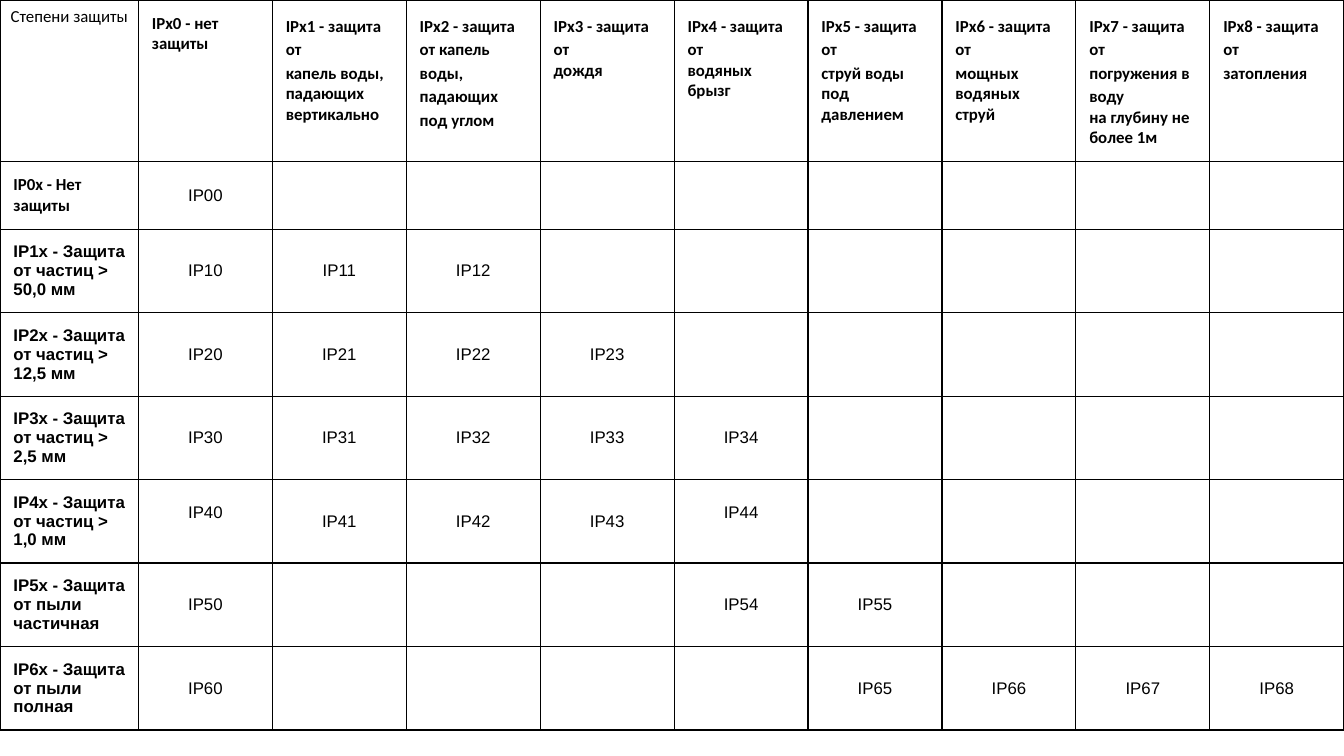
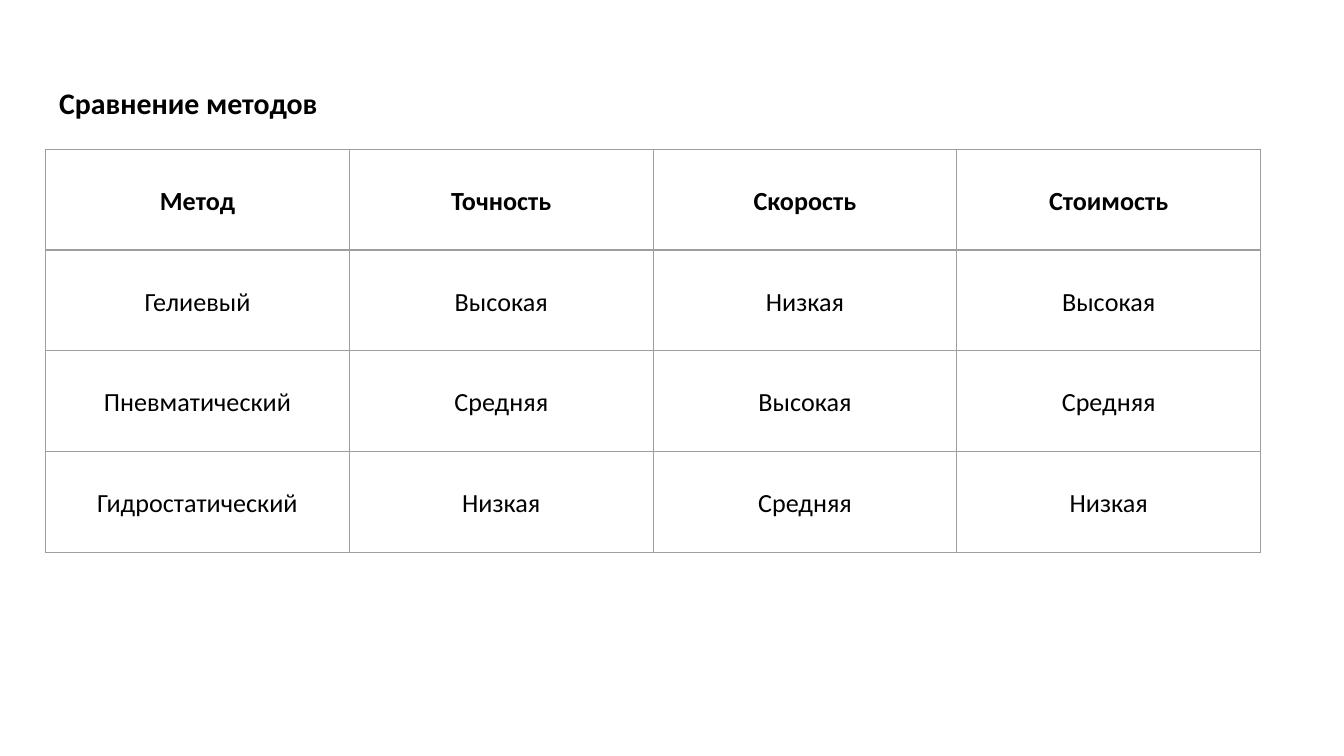
import dataclasses
from typing import Any, NamedTuple

import lxml.etree
import pptx
import pptx.dml.color
import pptx.enum.text
import pptx.oxml.ns
import pptx.util

Inches = pptx.util.Inches
Pt = pptx.util.Pt
ALIGN = pptx.enum.text.PP_ALIGN
ANCHOR = pptx.enum.text.MSO_ANCHOR

# Slide size, 16:9
WIDTH = 10
HEIGHT = WIDTH * 9 / 16

# Shared colours
INK = "000000"
GREY = "9E9E9E"


class Line(NamedTuple):
    text: str
    gap: float = 1.0


@dataclasses.dataclass(frozen=True)
class Style:
    size: float
    face: str = "Calibri"
    bold: bool = False
    align: Any = ALIGN.LEFT
    anchor: Any = ANCHOR.TOP
    pad: tuple[float, float, float, float] = (0.1, 0.1, 0.1, 0.1)


class Entry(NamedTuple):
    lines: list[Line]
    style: Style


class Grid(NamedTuple):
    left: float
    top: float
    cols: list[float]
    rows: list[float]
    edge: str
    cells: list[list[Entry | None]]


# Text styles
TITLE = Style(16, bold=True)
HEAD = Style(9, bold=True)
LABEL = dataclasses.replace(HEAD, face="Arial")
CODE = Style(9, "Arial", align=ALIGN.CENTER, anchor=ANCHOR.MIDDLE)
RAISED = dataclasses.replace(CODE, pad=(0.06, 0.03, 0.06, 0.18))
CORNER = Style(9, align=ALIGN.CENTER, pad=(0.06, 0.03, 0.06, 0.03))
BODY = Style(14, align=ALIGN.CENTER)
TOP = dataclasses.replace(BODY, bold=True)

# Water protection: loosely spaced lines, then tightly spaced ones
WATER = [
    ([], ["IPx0 - нет защиты"]),
    (["IPx1 - защита от", "капель воды,"], ["падающих вертикально"]),
    (["IPx2 - защита от капель воды, падающих под углом"], []),
    (["IPx3 - защита от"], ["дождя"]),
    (["IPx4 - защита от"], ["водяных брызг"]),
    (["IPx5 - защита от", "струй воды"], ["под давлением"]),
    (["IPx6 - защита от", "мощных"], ["водяных струй"]),
    (["IPx7 - защита от", "погружения в воду"], ["на глубину не более 1м"]),
    (["IPx8 - защита от", "затопления"], []),
]

# Dust protection: label and the water digits it is combined with
DUST = [
    ("Нет защиты", "0"),
    ("Защита от частиц > 50,0 мм", "012"),
    ("Защита от частиц > 12,5 мм", "0123"),
    ("Защита от частиц > 2,5 мм", "01234"),
    ("Защита от частиц > 1,0 мм", "01234"),
    ("Защита от пыли частичная", "045"),
    ("Защита от пыли полная", "05678"),
]
LIFTED = ("IP40", "IP44")

METHODS = [
    ["Метод", "Точность", "Скорость", "Стоимость"],
    ["Гелиевый", "Высокая", "Низкая", "Высокая"],
    ["Пневматический", "Средняя", "Высокая", "Средняя"],
    ["Гидростатический", "Низкая", "Средняя", "Низкая"],
]


def color(code: str) -> pptx.dml.color.RGBColor:
    return pptx.dml.color.RGBColor.from_string(code)


def assign(item: Any, values: dict[str, Any]) -> None:
    for name, value in values.items():
        setattr(item, name, value)


def write(frame: Any, entry: Entry) -> None:
    style = entry.style
    frame.word_wrap = True
    for i, line in enumerate(entry.lines):
        para = frame.paragraphs[0] if i == 0 else frame.add_paragraph()
        assign(para, {"alignment": style.align, "line_spacing": line.gap,
                      "space_before": Pt(0)})
        run = para.add_run()
        run.text = line.text
        assign(run.font, {"size": Pt(style.size), "name": style.face,
                          "bold": style.bold})
        run.font.color.rgb = color(INK)


def pads(style: Style) -> dict[str, Any]:
    sides = ("margin_left", "margin_top", "margin_right", "margin_bottom")
    return {side: Inches(pad) for side, pad in zip(sides, style.pad)}


def border(cell: Any, edge: str) -> None:
    qn = pptx.oxml.ns.qn
    props = cell._tc.get_or_add_tcPr()
    for side in ("lnL", "lnR", "lnT", "lnB"):
        line = lxml.etree.SubElement(props, qn(f"a:{side}"), w=str(Pt(0.75)))
        fill = lxml.etree.SubElement(line, qn("a:solidFill"))
        lxml.etree.SubElement(fill, qn("a:srgbClr"), val=edge)


def draw(slide: Any, grid: Grid) -> None:
    frame = slide.shapes.add_table(
        len(grid.rows), len(grid.cols), Inches(grid.left), Inches(grid.top),
        Inches(sum(grid.cols)), Inches(sum(grid.rows)))
    table = frame.table
    assign(table, {"first_row": False, "horz_banding": False})
    for col, width in zip(table.columns, grid.cols):
        col.width = Inches(width)
    for row, height in zip(table.rows, grid.rows):
        row.height = Inches(height)
    for r, entries in enumerate(grid.cells):
        for c, entry in enumerate(entries):
            cell = table.cell(r, c)
            border(cell, grid.edge)
            cell.fill.background()
            if entry:
                assign(cell, pads(entry.style))
                cell.vertical_anchor = entry.style.anchor
                write(cell.text_frame, entry)


def rating(dust: int, water: int, digits: str) -> Entry | None:
    if str(water) not in digits:
        return None
    code = f"IP{dust}{water}"
    if code in LIFTED:
        return Entry([Line(code, 1.15)], RAISED)
    return Entry([Line(code)], CODE)


# Slide 1: protection ratings
def ratings(deck: Any) -> None:
    slide = deck.slides.add_slide(deck.slide_layouts[6])
    head = [Entry([Line("Степени защиты", 1.15)], CORNER)]
    for loose, tight in WATER:
        lines = [Line(text, 1.15) for text in loose]
        head.append(Entry(lines + [Line(text) for text in tight], HEAD))
    cells = [head]
    for dust, (text, digits) in enumerate(DUST):
        label = Entry([Line(f"IP{dust}x - {text}")], LABEL if dust else HEAD)
        codes = [rating(dust, water, digits) for water in range(len(WATER))]
        cells.append([label, *codes])
    first = 1.03
    cols = [first] + [(WIDTH - first) / len(WATER)] * len(WATER)
    rows = [1.17, 0.5, 0.54, 0.54, 0.47, 0.52, 0.59, 0.55]
    draw(slide, Grid(0, 0, cols, rows, INK, cells))


# Slide 2: comparison of methods
def methods(deck: Any) -> None:
    slide = deck.slides.add_slide(deck.slide_layouts[5])
    title = slide.shapes.title
    assign(title, {"left": Inches(0.34), "top": Inches(0.49),
                   "width": Inches(9.32), "height": Inches(0.63)})
    assign(title.text_frame, pads(TITLE) | {
        "vertical_anchor": TITLE.anchor,
        "auto_size": pptx.enum.text.MSO_AUTO_SIZE.NONE})
    write(title.text_frame, Entry([Line("Сравнение методов", 1.15)], TITLE))
    cells = [[Entry([Line(text, 1.72)], BODY if r else TOP) for text in row]
             for r, row in enumerate(METHODS)]
    draw(slide, Grid(0.34, 1.11, [2.26] * 4, [0.75] * 4, GREY, cells))


def main() -> None:
    deck = pptx.Presentation()
    assign(deck, {"slide_width": Inches(WIDTH),
                  "slide_height": Inches(HEIGHT)})
    ratings(deck)
    methods(deck)
    deck.save("out.pptx")


if __name__ == "__main__":
    main()
